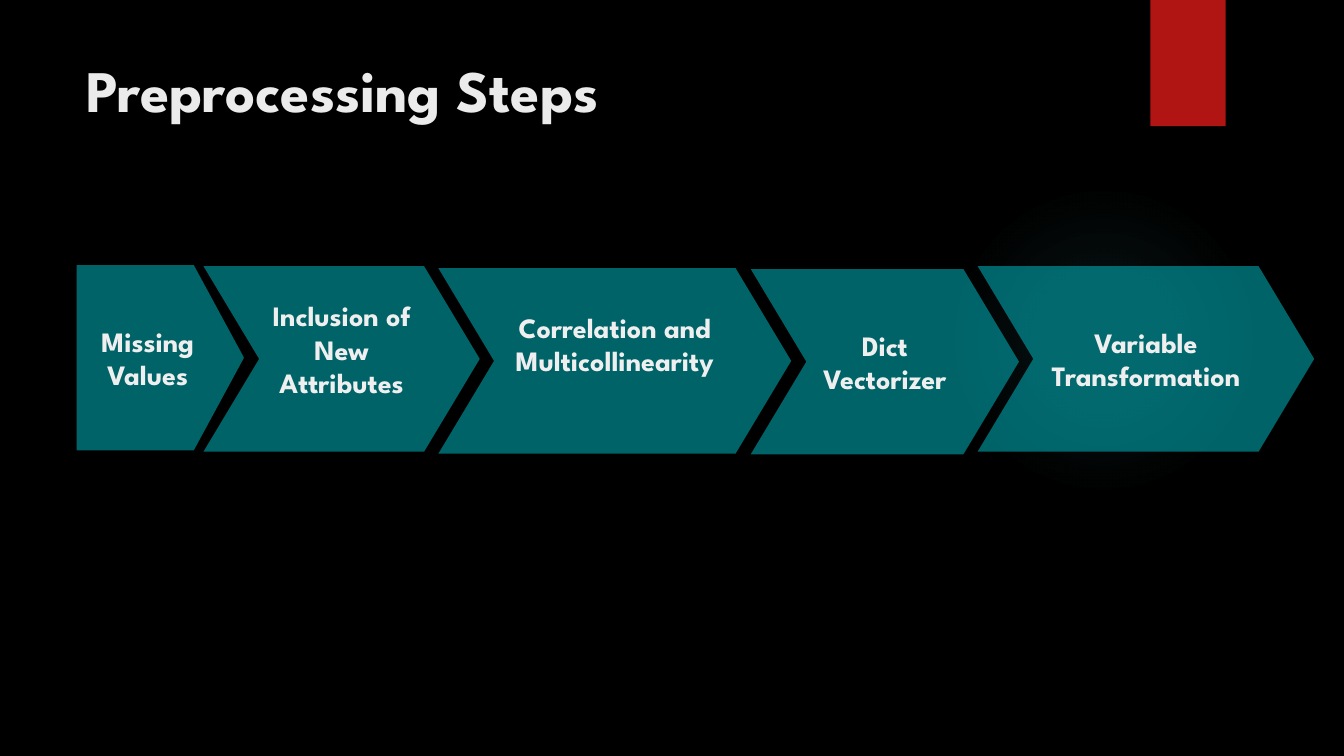
from typing import NamedTuple

from pptx import Presentation
from pptx.dml.color import RGBColor
from pptx.enum.shapes import MSO_SHAPE
from pptx.enum.text import MSO_ANCHOR, PP_ALIGN
from pptx.oxml import parse_xml
from pptx.oxml.ns import nsdecls, qn
from pptx.oxml.xmlchemy import OxmlElement
from pptx.util import Cm, Pt

FONT = "League Spartan"
BLACK = RGBColor(0x00, 0x00, 0x00)
RED = RGBColor(0xB0, 0x15, 0x13)
TEAL = RGBColor(0x00, 0xBF, 0xC9)
GLOW = RGBColor(0x50, 0xB9, 0xC1)
TITLE = RGBColor(0xEB, 0xEB, 0xEB)
LABEL = RGBColor(0xEF, 0xEF, 0xEF)

HEIGHT = 4.67
INSET = 0.25


class Step(NamedTuple):
    label: str
    left: float
    top: float
    width: float
    kind: MSO_SHAPE = MSO_SHAPE.CHEVRON
    lift: float = 0  # extra bottom inset that raises the label


STEPS = [
    Step("Missing Values", 1.93, 6.68, 4.22, MSO_SHAPE.PENTAGON),
    Step("Inclusion of\nNew Attributes", 5.13, 6.71, 6.96, lift=0.5),
    Step("Dict Vectorizer", 18.92, 6.78, 6.76),
    Step("Correlation and Multicollinearity", 11.05, 6.76, 8.89, lift=0.86),
    Step("Variable\nTransformation", 24.64, 6.71, 8.48),
]


def add_plain(slide, kind: MSO_SHAPE, left: float, top: float, width: float, height: float):
    shape = slide.shapes.add_shape(kind, Cm(left), Cm(top), Cm(width), Cm(height))
    shape.shadow.inherit = False
    shape.line.fill.background()
    return shape


def set_font(frame, size: int, color: RGBColor) -> None:
    for line in frame.paragraphs:
        for run in line.runs:
            run.font.name = FONT
            run.font.size = Pt(size)
            run.font.bold = True
            run.font.color.rgb = color


def add_glow(slide) -> None:
    glow = add_plain(slide, MSO_SHAPE.OVAL, 23.9, 4.65, 7.82, 7.82)
    stops = "".join(
        f'<a:gs pos="{place * 1000}"><a:srgbClr val="{GLOW}">'
        f'<a:alpha val="{alpha * 1000}"/></a:srgbClr></a:gs>'
        for place, alpha in ((0, 7), (36, 6), (69, 0))
    )
    fill = parse_xml(
        f'<a:gradFill {nsdecls("a")}><a:gsLst>{stops}</a:gsLst><a:path path="circle">'
        '<a:fillToRect l="50000" t="50000" r="50000" b="50000"/></a:path></a:gradFill>'
    )
    glow._element.spPr.insert(2, fill)  # after the geometry


def add_step(slide, step: Step) -> None:
    arrow = add_plain(slide, step.kind, step.left, step.top, step.width, HEIGHT)
    arrow.adjustments[0] = 0.3
    arrow.fill.solid()
    arrow.fill.fore_color.rgb = TEAL
    alpha = OxmlElement("a:alpha")
    alpha.set("val", "52000")
    arrow._element.spPr.find(qn("a:solidFill"))[0].append(alpha)

    frame = arrow.text_frame
    frame.word_wrap = True
    frame.vertical_anchor = MSO_ANCHOR.MIDDLE
    frame.margin_left = frame.margin_right = frame.margin_top = Cm(INSET)
    frame.margin_bottom = Cm(INSET + step.lift)
    frame.text = step.label
    for line in frame.paragraphs:
        line.alignment = PP_ALIGN.CENTER
    set_font(frame, 20, LABEL)


def main() -> None:
    deck = Presentation()
    deck.slide_width, deck.slide_height = Cm(33.87), Cm(19.05)
    slide = deck.slides.add_slide(deck.slide_layouts[6])

    # Backdrop
    slide.background.fill.solid()
    slide.background.fill.fore_color.rgb = BLACK
    add_glow(slide)
    ribbon = add_plain(slide, MSO_SHAPE.RECTANGLE, 28.99, 0, 1.9, 3.18)
    ribbon.fill.solid()
    ribbon.fill.fore_color.rgb = RED

    # Title
    title = slide.shapes.add_textbox(Cm(1.93), Cm(1.22), Cm(26.14), Cm(3.89))
    title.text_frame.word_wrap = True
    title.text_frame.text = "Preprocessing Steps"
    set_font(title.text_frame, 42, TITLE)

    # Process arrows
    for step in STEPS:
        add_step(slide, step)

    deck.save("out.pptx")


if __name__ == "__main__":
    main()
